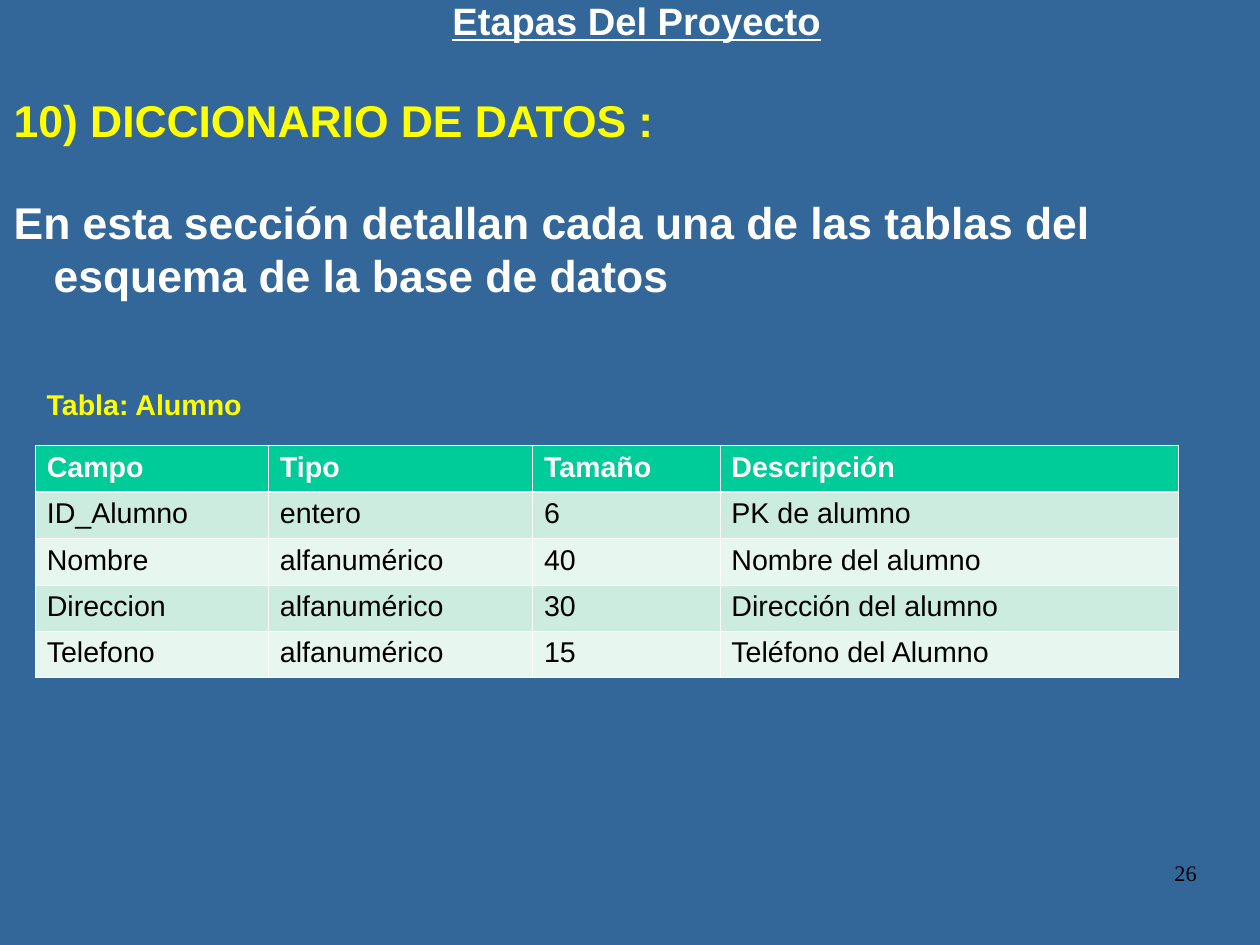
import pptx
import pptx.dml.color
import pptx.enum.text
import pptx.oxml
import pptx.oxml.ns
import pptx.util
from pptx.util import Inches

WHITE, YELLOW, BLACK = "FFFFFF", "FFFF00", "000000"
BLUE, GREEN, MINT, PALE = "336699", "00CC99", "CBECDE", "E7F6EF"
ALIGN = pptx.enum.text.PP_ALIGN


def color(value):
    return pptx.dml.color.RGBColor.from_string(value)


def apply(target, values):
    for name, value in values.items():
        setattr(target, name, value)


class SlideBuilder:
    """Holds the text style and the slide being filled."""

    font = {"name": "Arial", "size": pptx.util.Pt(18), "bold": True}

    def __init__(self, deck):
        self.slide = deck.slides.add_slide(deck.slide_layouts[1])
        fill = self.slide.background.fill
        fill.solid()
        fill.fore_color.rgb = color(BLUE)

    def span(self, para, text, ink, **changes):
        span = para.add_run()
        span.text = text
        apply(span.font, {**self.font, **changes})
        span.font.color.rgb = color(ink)

    def frame(self, box, margins, wrap=True):
        sides = ("margin_left", "margin_top", "margin_right", "margin_bottom")
        frame = box.text_frame
        apply(frame, dict(zip(sides, map(Inches, margins))))
        apply(frame, {"word_wrap": wrap,
                      "vertical_anchor": pptx.enum.text.MSO_ANCHOR.TOP})
        return frame

    def body(self, place, items):
        holder = self.slide.placeholders[1]
        apply(holder, dict(zip(("left", "top", "width", "height"), map(Inches, place))))
        frame = self.frame(holder, (0, 0, 0, 0))
        frame.auto_size = pptx.enum.text.MSO_AUTO_SIZE.NONE
        for index, (text, ink, size, align, before) in enumerate(items):
            para = frame.add_paragraph() if index else frame.paragraphs[0]
            properties = para._p.get_or_add_pPr()
            properties.set("marL", str(Inches(0.47)))
            properties.set("indent", str(Inches(-0.35)))
            properties.append(pptx.oxml.parse_xml(
                f'<a:buNone {pptx.oxml.ns.nsdecls("a")}/>'))
            apply(para, {"level": 3, "alignment": align, "line_spacing": 0.98,
                         "space_before": pptx.util.Pt(before),
                         "space_after": pptx.util.Pt(14.3)})
            self.span(para, text, ink, size=pptx.util.Pt(size), underline=index == 0)

    def label(self, place, text, ink, margins=(0, 0, 0, 0), wrap=True,
              align=ALIGN.LEFT, **changes):
        box = self.slide.shapes.add_textbox(*map(Inches, place))
        para = self.frame(box, margins, wrap).paragraphs[0]
        apply(para, {"alignment": align, "line_spacing": 0.98})
        self.span(para, text, ink, **changes)

    def border(self, cell, side, width):
        cell._tc.get_or_add_tcPr().append(pptx.oxml.parse_xml(
            f'<a:ln{side} {pptx.oxml.ns.nsdecls("a")} w="{pptx.util.Pt(width)}">'
            f'<a:solidFill><a:srgbClr val="{WHITE}"/></a:solidFill></a:ln{side}>'))

    def table(self, place, widths, rows):
        table = self.slide.shapes.add_table(
            len(rows), len(widths), *map(Inches, place)).table
        for column, width in zip(table.columns, widths):
            column.width = Inches(width)
        for row, texts in enumerate(rows):
            header = row == 0
            thick_side = {0: "B", 1: "T"}.get(row)
            for column, text in enumerate(texts):
                cell = table.cell(row, column)
                for side in "LRTB":
                    self.border(cell, side, 1.47 if side == thick_side else 0.45)
                cell.fill.solid()
                shade = GREEN if header else MINT if row % 2 else PALE
                cell.fill.fore_color.rgb = color(shade)
                self.span(cell.text_frame.paragraphs[0], text,
                          WHITE if header else BLACK, bold=header)


def main():
    # A 4:3 page of 28 by 21 centimetres
    deck = pptx.Presentation()
    deck.slide_width = pptx.util.Cm(28)
    deck.slide_height = pptx.util.Cm(21)
    page = SlideBuilder(deck)

    # Heading and introduction share the body placeholder
    title = page.slide.shapes.title
    title.element.getparent().remove(title.element)
    page.body((0, 0, 11.02, 2.72), [
        ("Etapas Del Proyecto", WHITE, 24, ALIGN.CENTER, 0),
        ("10) DICCIONARIO DE DATOS :", YELLOW, 28, ALIGN.LEFT, 17.5),
        ("En esta sección detallan cada una de las tablas del esquema de la base de datos",
         WHITE, 28, ALIGN.LEFT, 17.5),
    ])

    # Data dictionary
    page.table((0.31, 3.9, 10, 2.03), (2.04, 2.31, 1.64, 4.01), [
        ("Campo", "Tipo", "Tamaño", "Descripción"),
        ("ID_Alumno", "entero", "6", "PK de alumno"),
        ("Nombre", "alfanumérico", "40", "Nombre del alumno"),
        ("Direccion", "alfanumérico", "30", "Dirección del alumno"),
        ("Telefono", "alfanumérico", "15", "Teléfono del Alumno"),
    ])
    page.label((0.31, 3.35, 1.93, 0.39), "Tabla: Alumno", YELLOW,
               margins=(0.1, 0.05, 0.1, 0.05), wrap=False)

    # Page number
    page.label((7.9, 7.53, 2.57, 0.57), "26", BLACK, align=ALIGN.RIGHT,
               name="Times New Roman", size=pptx.util.Pt(14), bold=False)

    deck.save("out.pptx")


if __name__ == "__main__":
    main()
